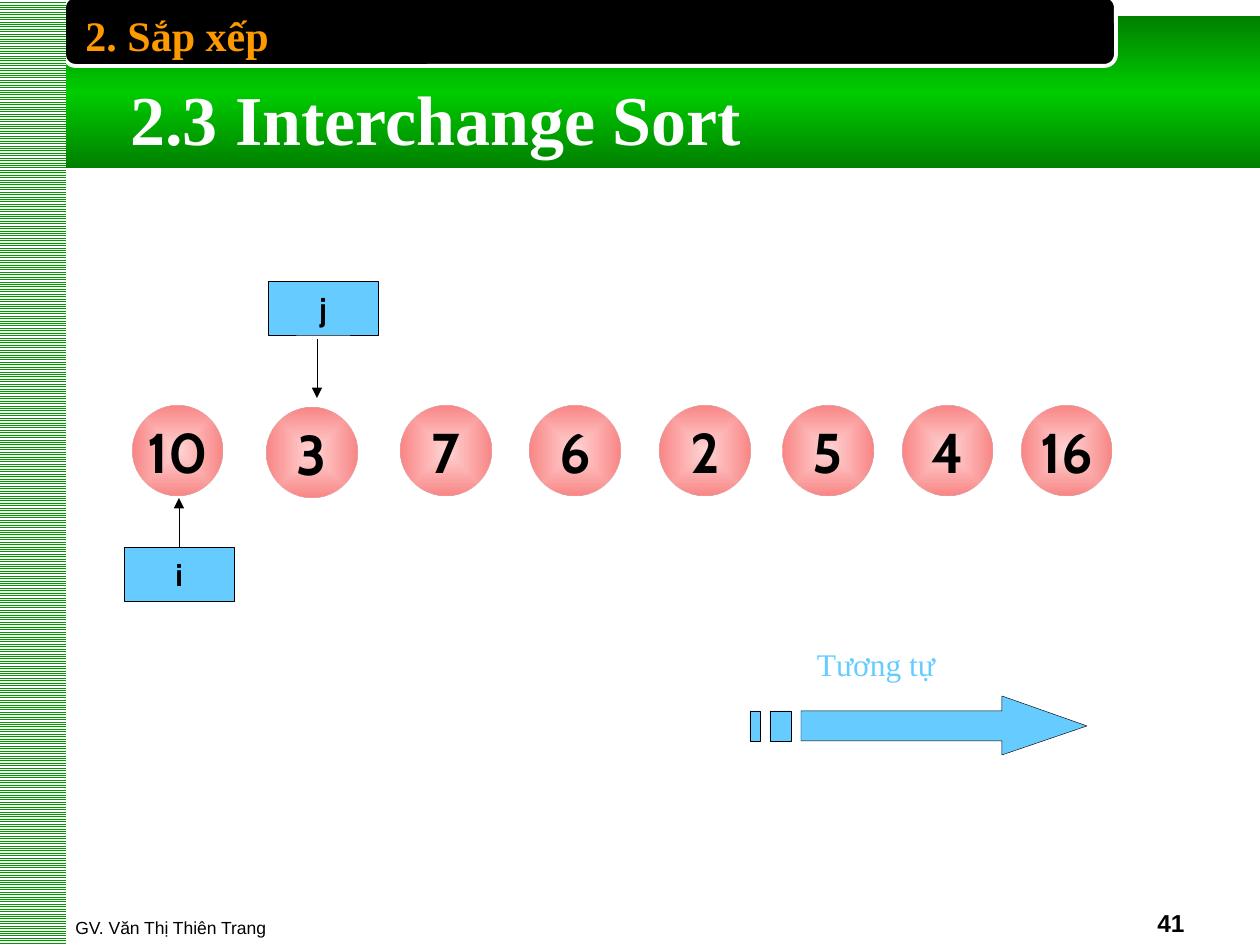
from lxml.etree import SubElement
from pptx import Presentation
from pptx.dml.color import RGBColor
from pptx.enum.dml import MSO_PATTERN
from pptx.enum.shapes import MSO_CONNECTOR, MSO_SHAPE as SHAPE
from pptx.enum.text import MSO_ANCHOR as ANCHOR, MSO_AUTO_SIZE, PP_ALIGN as ALIGN
from pptx.oxml.ns import qn
from pptx.util import Emu, Pt

PX = 914400 / 126
COLORS = {name: RGBColor.from_string(value) for name, value in {
    "black": "000000", "white": "FFFFFF", "orange": "FF9900", "stripe": "009900",
    "dark green": "008000", "green": "00CC00", "sky": "66CCFF",
    "ball core": "FF8989", "ball rim": "FA8686"}.items()}
CENTERED = {"vertical_anchor": ANCHOR.MIDDLE, "word_wrap": False}


def write(shape, text, color, font, frame, align=ALIGN.LEFT):
    """Put one formatted line of text into a shape."""
    text_frame = shape.text_frame
    paragraph = text_frame.paragraphs[0]
    paragraph.alignment = align
    run = paragraph.add_run()
    run.text = text
    run.font.color.rgb = COLORS[color]
    for target, values in ((text_frame, frame), (run.font, font)):
        for name, value in values.items():
            setattr(target, name, value)


def add_gradient(shape, stops, shading):
    """Fill with (position %, colour, opacity %) stops; return the shading element."""
    geometry = shape._element.spPr.find(qn("a:prstGeom"))
    gradient = geometry.makeelement(qn("a:gradFill"), {"rotWithShape": "1"})
    geometry.addnext(gradient)
    stop_list = SubElement(gradient, qn("a:gsLst"))
    for position, color, opacity in stops:
        stop = SubElement(stop_list, qn("a:gs"), pos=str(position * 1000))
        tint = SubElement(stop, qn("a:srgbClr"), val=str(COLORS[color]))
        if opacity < 100:
            SubElement(tint, qn("a:alpha"), val=str(opacity * 1000))
    kind, attributes = shading
    return SubElement(gradient, qn(kind), attributes)


deck = Presentation()
deck.slide_width, deck.slide_height = Emu(9144000), Emu(6858000)
slide = deck.slides.add_slide(deck.slide_layouts[6])
shapes = slide.shapes

# Green banner, black header tab and striped side band
banner, header, band = [
    shapes.add_shape(kind, *(Emu(round(n * PX)) for n in place))
    for kind, place in ((SHAPE.RECTANGLE, (0, 16, 1261, 152)),
                        (SHAPE.ROUNDED_RECTANGLE, (64, -4, 1052, 70)),
                        (SHAPE.RECTANGLE, (-1, 0, 67, 945)))]
for backdrop in (banner, header, band):
    backdrop.shadow.inherit = False
    backdrop.line.fill.background()
add_gradient(banner, [(0, "dark green", 100), (50, "green", 100), (100, "dark green", 100)],
             ("a:lin", {"ang": "5400000", "scaled": "1"}))
header.fill.solid()
header.fill.fore_color.rgb = COLORS["black"]
header.line.color.rgb = COLORS["white"]
header.line.width = Pt(2.25)
band.fill.patterned()
band.fill.pattern = MSO_PATTERN.LIGHT_HORIZONTAL
band.fill.fore_color.rgb = COLORS["stripe"]
band.fill.back_color.rgb = COLORS["white"]

# Headings, footer, page number and arrow caption
BOTTOM = {"word_wrap": True, "vertical_anchor": ANCHOR.BOTTOM}
for text, place, size, face, bold, color, frame, align in (
    ("GV. Văn Thị Thiên Trang", (63, 881, 766, 63), 10, "Arial", False, "black",
     BOTTOM, ALIGN.LEFT),
    ("41", (903, 881, 294, 63), 14, "Arial", True, "black", BOTTOM, ALIGN.RIGHT),
    ("2.3 Interchange Sort", (118, 69, 638, 97), 40, "Times New Roman", True, "white",
     {"word_wrap": False, "auto_size": MSO_AUTO_SIZE.SHAPE_TO_FIT_TEXT}, ALIGN.LEFT),
    ("2. Sắp xếp", (73, 3, 966, 63), 24, "Times New Roman", True, "orange",
     {"word_wrap": True}, ALIGN.LEFT),
    ("Tương tự", (789, 639, 174, 54), 18, "Times New Roman", False, "sky",
     {"word_wrap": False}, ALIGN.CENTER),
):
    label = shapes.add_textbox(*(Emu(round(n * PX)) for n in place))
    write(label, text, color, {"name": face, "size": Pt(size), "bold": bold}, frame, align)

# Array values as balls
for number, left, top in ((10, 133, 406), (3, 267, 408), (7, 401, 406), (6, 530, 406),
                          (2, 660, 406), (5, 783, 406), (4, 903, 406), (16, 1022, 406)):
    ball = shapes.add_shape(SHAPE.OVAL, *(Emu(round(n * PX)) for n in (left, top, 90, 90)))
    ball.shadow.inherit = False
    ball.line.fill.background()
    center = add_gradient(ball, [(0, "ball core", 35), (100, "ball rim", 100)],
                          ("a:path", {"path": "shape"}))
    SubElement(center, qn("a:fillToRect"), {side: "50000" for side in "ltrb"})
    write(ball, str(number), "black", {"name": "Cabin", "size": Pt(32), "bold": True},
          CENTERED, ALIGN.CENTER)

# Index boxes with their pointers
outlined = []
for index, left, top, pointer_x, start_y, end_y in (("i", 124, 547, 179, 547, 498),
                                                    ("j", 268, 281, 317, 339, 398)):
    box = shapes.add_shape(SHAPE.RECTANGLE, *(Emu(round(n * PX)) for n in (left, top, 110, 54)))
    write(box, index, "black", {"name": "Cabin", "size": Pt(18), "bold": True},
          CENTERED, ALIGN.CENTER)
    outlined.append(box)
    pointer = shapes.add_connector(
        MSO_CONNECTOR.STRAIGHT,
        *(Emu(round(n * PX)) for n in (pointer_x, start_y, pointer_x, end_y)))
    if start_y == top:
        pointer.begin_connect(box, 0)
    pointer.line.color.rgb = COLORS["black"]
    pointer.line.width = Pt(0.25)
    properties = pointer._element.spPr
    SubElement(properties.find(qn("a:ln")), qn("a:tailEnd"), type="triangle")
    SubElement(properties, qn("a:effectLst"))

# Striped arrow: head with shaft, then two tail bars
builder = shapes.build_freeform(1002, 696, scale=PX)
builder.add_line_segments([(1002, 711), (801, 711), (801, 741), (1002, 741),
                           (1002, 755), (1087, 726)], close=True)
for left, right in ((770, 791), (750, 760)):
    builder.move_to(left, 711)
    builder.add_line_segments([(left, 741), (right, 741), (right, 711)], close=True)
outlined.append(builder.convert_to_shape())

for part in outlined:
    part.shadow.inherit = False
    part.fill.solid()
    part.fill.fore_color.rgb = COLORS["sky"]
    part.line.color.rgb = COLORS["black"]
    part.line.width = Pt(0.25)

deck.save("out.pptx")
